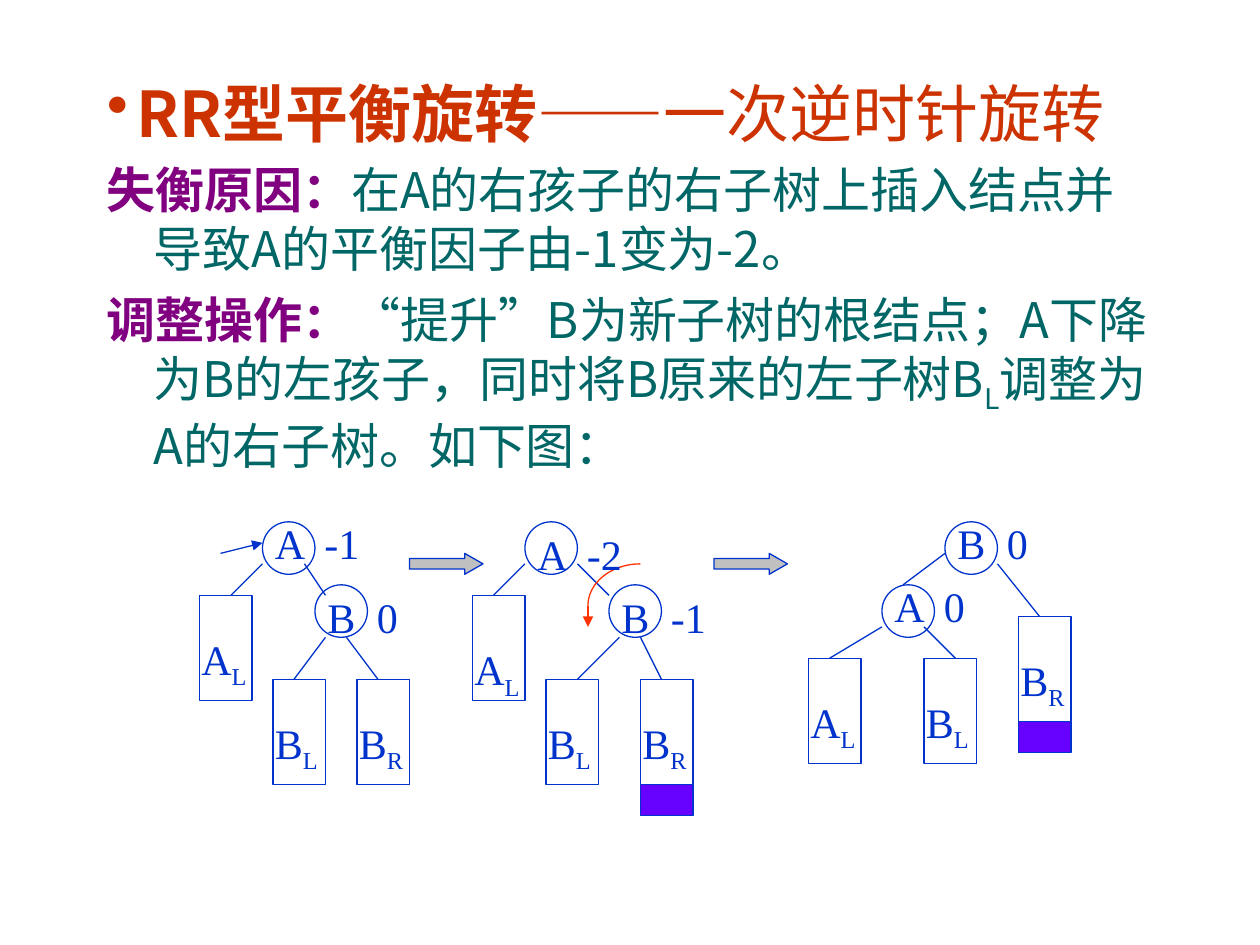
from math import cos, pi, sin

from lxml import etree
from pptx import Presentation
from pptx.dml.color import RGBColor
from pptx.enum.shapes import MSO_CONNECTOR as Connector, MSO_SHAPE as Shape
from pptx.enum.text import MSO_ANCHOR as Anchor, PP_ALIGN as Align
from pptx.oxml.ns import qn
from pptx.util import Cm, Pt

BLUE = RGBColor(0x00, 0x33, 0xCC)
RED = RGBColor(0xFF, 0x33, 0x00)
ORANGE = RGBColor(0xCC, 0x33, 0x00)
PURPLE = RGBColor(0x80, 0x00, 0x80)
TEAL = RGBColor(0x00, 0x66, 0x66)
VIOLET = RGBColor(0x66, 0x00, 0xFF)
GRAY = RGBColor(0xC0, 0xC0, 0xC0)

HEAD_FONT = "Noto Sans CJK JP"
HEADING = {"name": HEAD_FONT, "size": Pt(36), "bold": False}
BODY = {"name": HEAD_FONT, "size": Pt(28), "bold": False}
LABEL = {"name": "Times New Roman", "size": Pt(24)}

GRID = 2.54 / 12        # the trees are laid out on a grid of twelfths of an inch
DIAGRAM_TOP = 10.52
NODE = 5
TREE_HEIGHT = 10
INSERTED_HEIGHT = 3

# Node circles: column, row, letter, balance factor, row of the label
NODES = [
    (25, 0, "A", "-1", -1), (30, 6, "B", "0", 6),
    (50, 0, "A", "-2", 0), (58, 6, "B", "-1", 6),
    (90, 0, "B", "0", -1), (84, 6, "A", "0", 5),
]
# Subtrees: column, row, letter, subscript, row of the label
SUBTREES = [
    (19, 7, "A", "L", 10), (26, 15, "B", "L", 18), (34, 15, "B", "R", 18),
    (45, 7, "A", "L", 11), (52, 15, "B", "L", 18), (61, 15, "B", "R", 18),
    (77, 13, "A", "L", 16), (88, 13, "B", "L", 16), (97, 9, "B", "R", 12),
]
INSERTED = [(61, 25), (97, 19)]
EDGES = [
    ((25, 4), (22, 7)), ((29, 4), (31, 7)), ((31, 11), (28, 15)), ((33, 11), (36, 15)),
    ((50, 4), (47, 7)), ((55, 4), (58, 7)), ((59, 11), (55, 15)), ((61, 11), (63, 15)),
    ((90, 3), (86, 6)), ((95, 4), (99, 9)), ((84, 10), (79, 13)), ((88, 10), (91, 13)),
]
STEP_COLUMNS = [39, 68]


def column(number):
    return Cm(number * GRID)


def row(number):
    return Cm(DIAGRAM_TOP + number * GRID)


class SlideBuilder:
    def __init__(self, slide, line_width=Pt(0.75)):
        self.slide = slide
        self.line_width = line_width

    def text_box(self, left, top, width, height):
        frame = self.slide.shapes.add_textbox(left, top, width, height).text_frame
        frame.word_wrap = True
        return frame

    def run(self, paragraph, text, style, color, **changes):
        run = paragraph.add_run()
        run.text = text
        baseline = changes.pop("baseline", None)
        for name, value in {**style, **changes}.items():
            setattr(run.font, name, value)
        run.font.color.rgb = color
        properties = run.font._element
        etree.SubElement(properties, qn("a:ea"), typeface=style["name"])
        if baseline:
            properties.set("baseline", str(baseline))

    def outline(self, shape, color=BLUE, fill=None):
        shape.shadow.inherit = False
        shape.line.color.rgb = color
        shape.line.width = self.line_width
        if fill is None:
            shape.fill.background()
        else:
            shape.fill.solid()
            shape.fill.fore_color.rgb = fill

    def shape(self, kind, x, y, width, height, fill=None):
        shape = self.slide.shapes.add_shape(
            kind, column(x), row(y), column(width), column(height))
        self.outline(shape, fill=fill)
        return shape

    def line(self, start, end, color=BLUE, arrow=False):
        line = self.slide.shapes.add_connector(
            Connector.STRAIGHT, column(start[0]), row(start[1]), column(end[0]), row(end[1]))
        line.line.color.rgb = color
        line.line.width = self.line_width
        if arrow:
            etree.SubElement(line.line._get_or_add_ln(), qn("a:tailEnd"), type="triangle")
        etree.SubElement(line._element.spPr, qn("a:effectLst"))

    def quarter_arc(self, start, end, color, steps=24):
        """Draw a quarter ellipse that leaves start level and reaches end upright."""
        (x1, y1), (x2, y2) = start, end
        angles = [pi / 2 * step / steps for step in range(steps + 1)]
        points = [(column(x1 + (x2 - x1) * sin(angle)), row(y2 + (y1 - y2) * cos(angle)))
                  for angle in angles]
        builder = self.slide.shapes.build_freeform(*points[0])
        builder.add_line_segments(points[1:], close=False)
        self.outline(builder.convert_to_shape(), color)

    def label(self, x, y, width):
        return self.text_box(column(x), row(y), column(width), Cm(1.27)).paragraphs[0]

    def node_label(self, x, y, letter, balance):
        paragraph = self.label(x, y, 12)
        tabs = etree.SubElement(paragraph._p.get_or_add_pPr(), qn("a:tabLst"))
        etree.SubElement(tabs, qn("a:tab"), pos=str(Cm(1)), algn="l")
        self.run(paragraph, f"{letter}\t{balance}", LABEL, BLUE)

    def subtree_label(self, x, y, letter, subscript):
        paragraph = self.label(x, y, 8)
        self.run(paragraph, letter, LABEL, BLUE)
        self.run(paragraph, subscript, LABEL, BLUE, baseline=-25000)

    def heading(self, strong, rest):
        frame = self.text_box(Cm(1.07), Cm(0.99), Cm(22.43), Cm(2.54))
        frame.vertical_anchor = Anchor.MIDDLE
        paragraph = frame.paragraphs[0]
        paragraph.alignment = Align.CENTER
        properties = paragraph._p.get_or_add_pPr()
        bullet_color = etree.SubElement(properties, qn("a:buClr"))
        etree.SubElement(bullet_color, qn("a:srgbClr"), val=str(ORANGE))
        etree.SubElement(properties, qn("a:buChar"), char="•")
        self.run(paragraph, strong, HEADING, ORANGE, bold=True)
        self.run(paragraph, rest, HEADING, ORANGE)

    def body(self, items):
        """Write each item as a bold term and its pieces of (text, baseline)."""
        frame = self.text_box(Cm(1.9), Cm(3.1), Cm(21.6), Cm(14.81))
        for index, (term, pieces) in enumerate(items):
            paragraph = frame.add_paragraph() if index else frame.paragraphs[0]
            if index:
                paragraph.space_before = Pt(7)
            properties = paragraph._p.get_or_add_pPr()
            properties.set("marL", str(Cm(0.95)))
            properties.set("indent", str(-Cm(0.95)))
            self.run(paragraph, term, BODY, PURPLE, bold=True)
            for text, baseline in pieces:
                self.run(paragraph, text, BODY, TEAL, baseline=baseline)


def main():
    presentation = Presentation()
    presentation.slide_width, presentation.slide_height = Cm(25.4), Cm(19.05)
    builder = SlideBuilder(presentation.slides.add_slide(presentation.slide_layouts[6]))

    builder.heading("RR型平衡旋转", "——一次逆时针旋转")
    builder.body([
        ("失衡原因：", [("在A的右孩子的右子树上插入结点并导致A的平衡因子由-1变为-2。", None)]),
        ("调整操作：", [
            ("“提升”B为新子树的根结点；A下降为B的左孩子，同时将B原来的左子树B", None),
            ("L", -25000),
            ("调整为A的右子树。如下图：", None),
        ]),
    ])

    for x, y, letter, subscript, label_row in SUBTREES:
        builder.shape(Shape.RECTANGLE, x, y, NODE, TREE_HEIGHT)
        builder.subtree_label(x - 1, label_row, letter, subscript)
    for x, y in INSERTED:
        builder.shape(Shape.RECTANGLE, x, y, NODE, INSERTED_HEIGHT, VIOLET)
    for start, end in EDGES:
        builder.line(start, end)
    for x in STEP_COLUMNS:
        arrow = builder.shape(Shape.RIGHT_ARROW, x, 3, 7, 2, GRAY)
        arrow.adjustments[1] = 0.87
    builder.line((21, 3), (25, 2), arrow=True)
    builder.quarter_arc((61, 4), (56, 8), RED)
    builder.line((56, 8), (56, 10), RED, arrow=True)
    for x, y, letter, balance, label_row in NODES:
        builder.shape(Shape.OVAL, x, y, NODE, NODE)
        builder.node_label(x, label_row, letter, balance)

    presentation.save("out.pptx")


if __name__ == "__main__":
    main()
